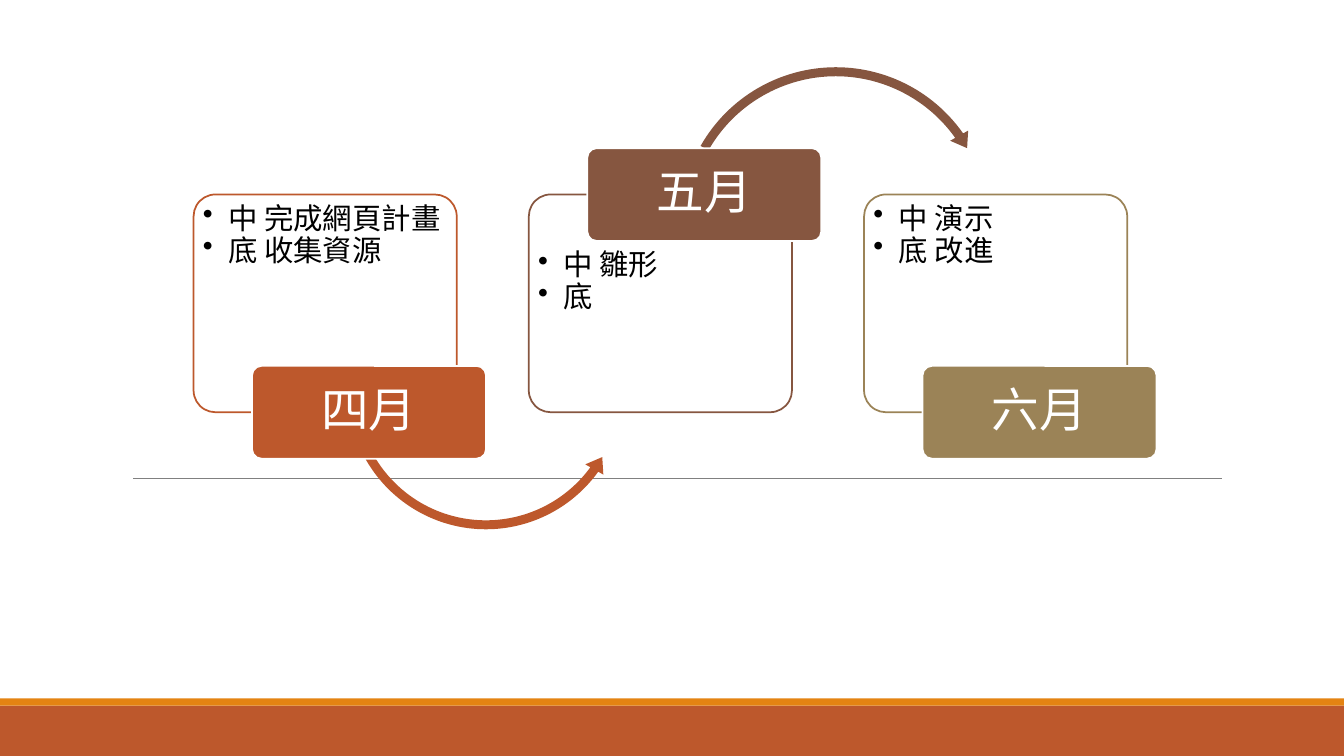
from lxml.etree import SubElement
from pptx import Presentation
from pptx.dml.color import RGBColor
from pptx.enum.shapes import MSO_CONNECTOR, MSO_SHAPE
from pptx.enum.text import MSO_ANCHOR, PP_ALIGN
from pptx.oxml.ns import qn
from pptx.util import Inches, Pt

RUST = RGBColor(0xBD, 0x58, 0x2C)
BROWN = RGBColor(0x86, 0x56, 0x40)
OLIVE = RGBColor(0x9B, 0x83, 0x57)
ORANGE = RGBColor(0xE4, 0x83, 0x12)
GRAY = RGBColor(0x80, 0x80, 0x80)
WHITE = RGBColor(0xFF, 0xFF, 0xFF)
BLACK = RGBColor(0, 0, 0)
FONT = "Noto Sans CJK TC"

# Content: month, tasks, colour, whether the tag sits on the top edge
MONTHS = [
    ("四月", ["中 完成網頁計畫", "底 收集資源"], RUST, False),
    ("五月", ["中 雛形", "底"], BROWN, True),
    ("六月", ["中 演示", "底 改進"], OLIVE, False),
]
# Arrow to the next month: preset, left, top, size, adjustments
ARROWS = {
    "四月": (MSO_SHAPE.LEFT_CIRCULAR_ARROW, 3.39, 2.45, 2.86,
           (0.031, 3.787, 21.542, 90.245, 0.036)),
    "五月": (MSO_SHAPE.CIRCULAR_ARROW, 6.69, 0.61, 3.2,
           (0.028, 3.365, 194.879, 125.755, 0.032)),
}

# Grid, in inches
PAGE_W, PAGE_H = 13.33, 7.5
FIRST_LEFT, COLUMN_STEP = 1.92, 3.325
CARD_TOP, CARD_W, CARD_H = 1.93, 2.61, 2.16
TAG_W, TAG_H, TAG_SHIFT = 2.32, 0.92, 0.58
FOOTER_TOP, STRIPE_H = 7, 0.07
RULE_LEFT, RULE_RIGHT, RULE_Y = 1.32, 12.12, 4.75

deck = Presentation()
deck.slide_width, deck.slide_height = Inches(PAGE_W), Inches(PAGE_H)
page = deck.slides.add_slide(deck.slide_layouts[6])


def add_box(preset, left, top, width, height, fill, line=None, adjustments=()):
    box = page.shapes.add_shape(
        preset, Inches(left), Inches(top), Inches(width), Inches(height))
    box.shadow.inherit = False
    box.fill.solid()
    box.fill.fore_color.rgb = fill
    if line is None:
        box.line.fill.background()
    else:
        box.line.color.rgb = line
        box.line.width = Pt(1.25)
    for index, value in enumerate(adjustments):
        box.adjustments[index] = value
    return box


def write(box, lines, size, color, align, anchor, insets):
    frame = box.text_frame
    frame.word_wrap = True
    frame.vertical_anchor = anchor
    (frame.margin_left, frame.margin_top,
     frame.margin_right, frame.margin_bottom) = map(Inches, insets)
    frame.text = "\n".join(lines)
    for para in frame.paragraphs:
        para.alignment = align
        para.line_spacing = 0.9
        for span in para.runs:
            span.font.size = Pt(size)
            span.font.name = FONT
            span.font.color.rgb = color
            SubElement(span.font._element, qn("a:ea"), typeface=FONT)


def add_bullets(box):
    for para in box.text_frame.paragraphs:
        properties = para._p.get_or_add_pPr()
        properties.set("marL", str(Inches(0.25)))
        properties.set("indent", str(-Inches(0.25)))
        SubElement(properties, qn("a:buChar"), char="•")


# Footer bars and thin rule
add_box(MSO_SHAPE.RECTANGLE, 0, FOOTER_TOP, PAGE_W, PAGE_H - FOOTER_TOP, RUST)
add_box(MSO_SHAPE.RECTANGLE, 0, FOOTER_TOP - STRIPE_H, PAGE_W, STRIPE_H, ORANGE)
rule = page.shapes.add_connector(
    MSO_CONNECTOR.STRAIGHT, Inches(RULE_LEFT), Inches(RULE_Y),
    Inches(RULE_RIGHT), Inches(RULE_Y))
rule.line.color.rgb = GRAY
rule.line.width = Pt(0.5)
SubElement(rule._element.spPr, qn("a:effectLst"))

# Month cards, each with its arrow and tag
for column, (month, tasks, color, tag_on_top) in enumerate(MONTHS):
    left = FIRST_LEFT + column * COLUMN_STEP
    card = add_box(MSO_SHAPE.ROUNDED_RECTANGLE, left, CARD_TOP, CARD_W, CARD_H,
                   WHITE, color, (0.1,))
    text_top = TAG_H / 2 + 0.03 if tag_on_top else 0.03
    write(card, tasks, 21, BLACK, PP_ALIGN.LEFT, MSO_ANCHOR.TOP,
          (0.03, text_top, 0.03, 0.03))
    add_bullets(card)

    if month in ARROWS:
        preset, arrow_left, arrow_top, size, adjustments = ARROWS[month]
        add_box(preset, arrow_left, arrow_top, size, size, color,
                adjustments=adjustments)

    edge = CARD_TOP if tag_on_top else CARD_TOP + CARD_H
    tag = add_box(MSO_SHAPE.ROUNDED_RECTANGLE, left + TAG_SHIFT, edge - TAG_H / 2,
                  TAG_W, TAG_H, color, WHITE, (0.1,))
    write(tag, [month], 34, WHITE, PP_ALIGN.CENTER, MSO_ANCHOR.MIDDLE,
          (0.07, 0.05, 0.07, 0.05))

deck.save("out.pptx")
